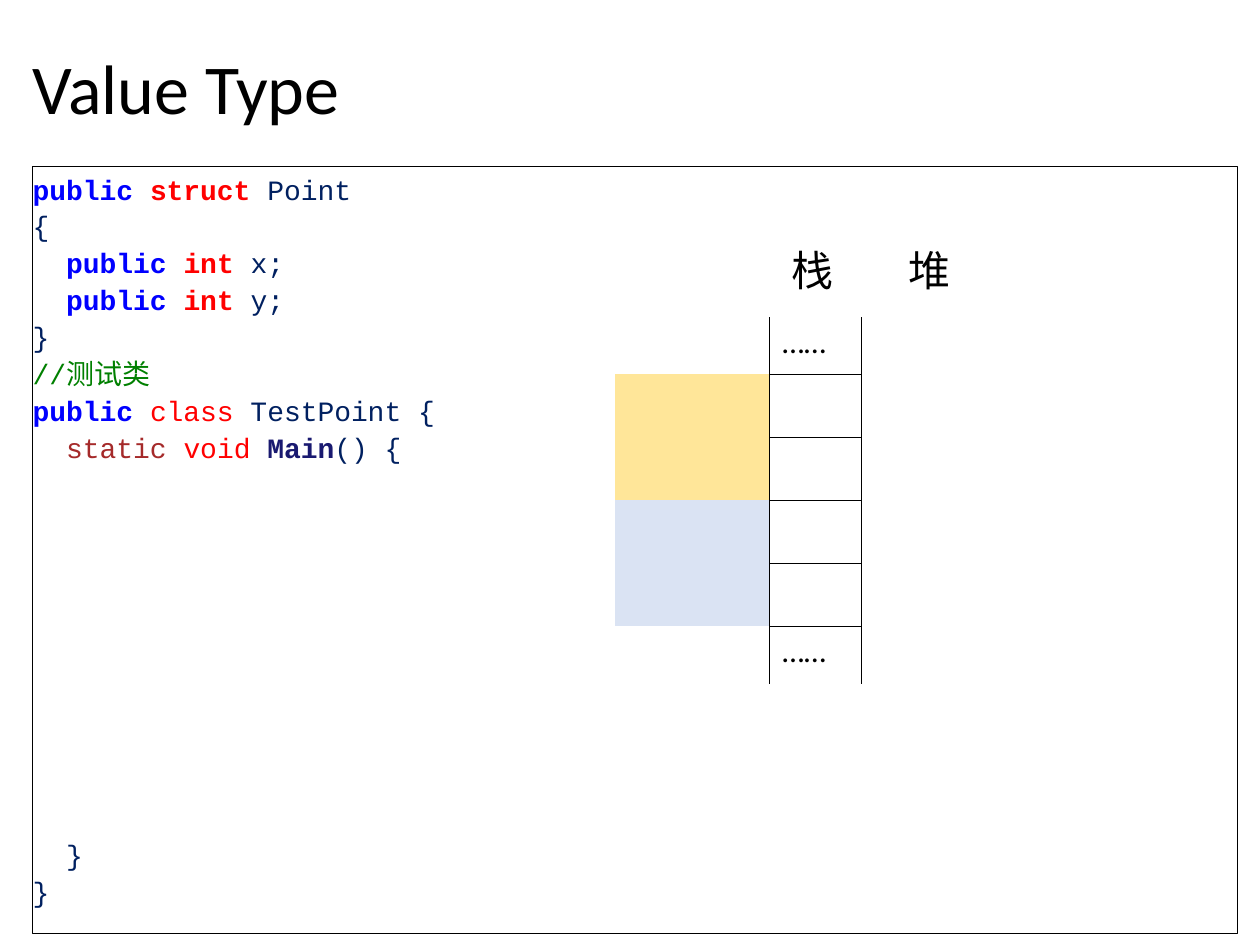
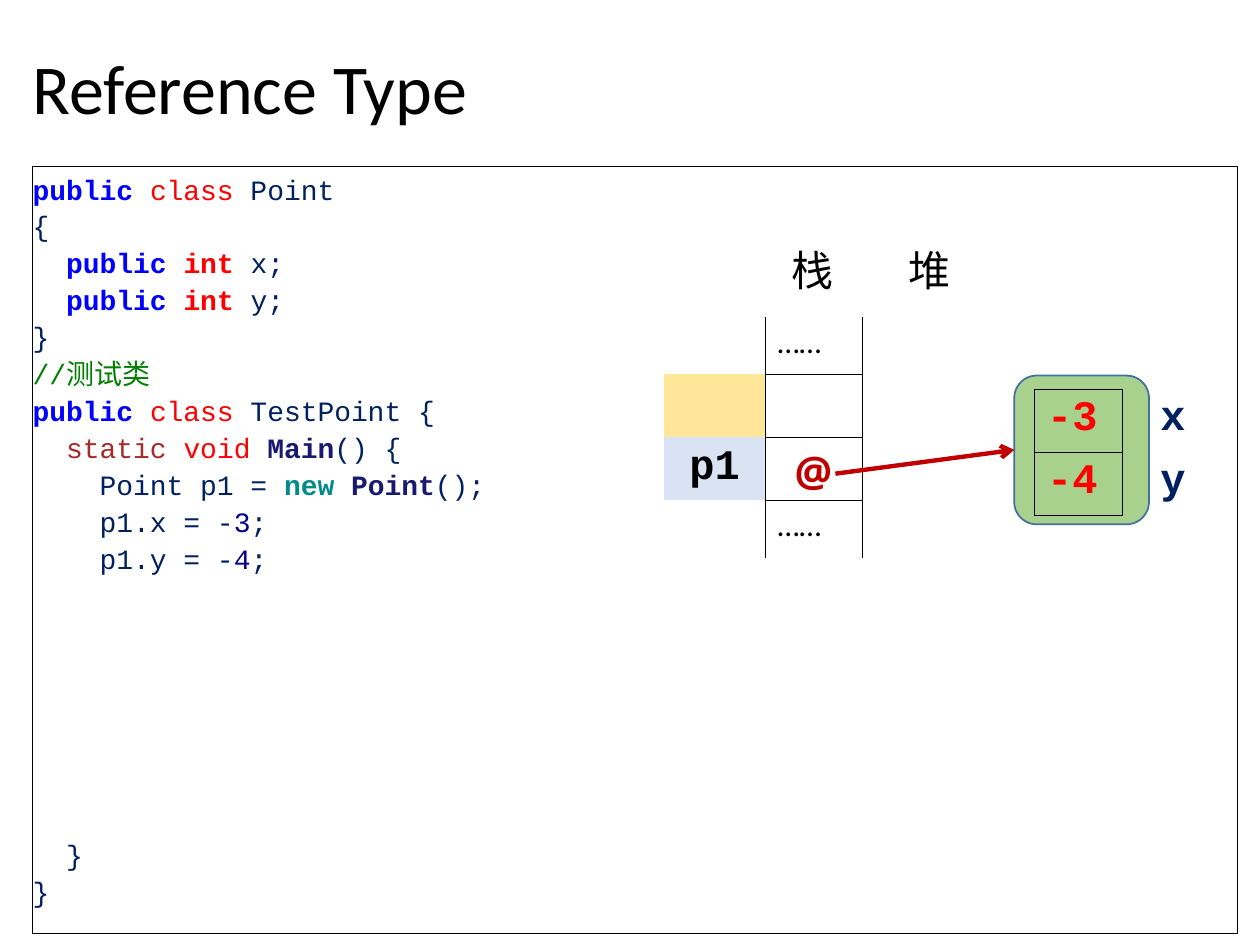
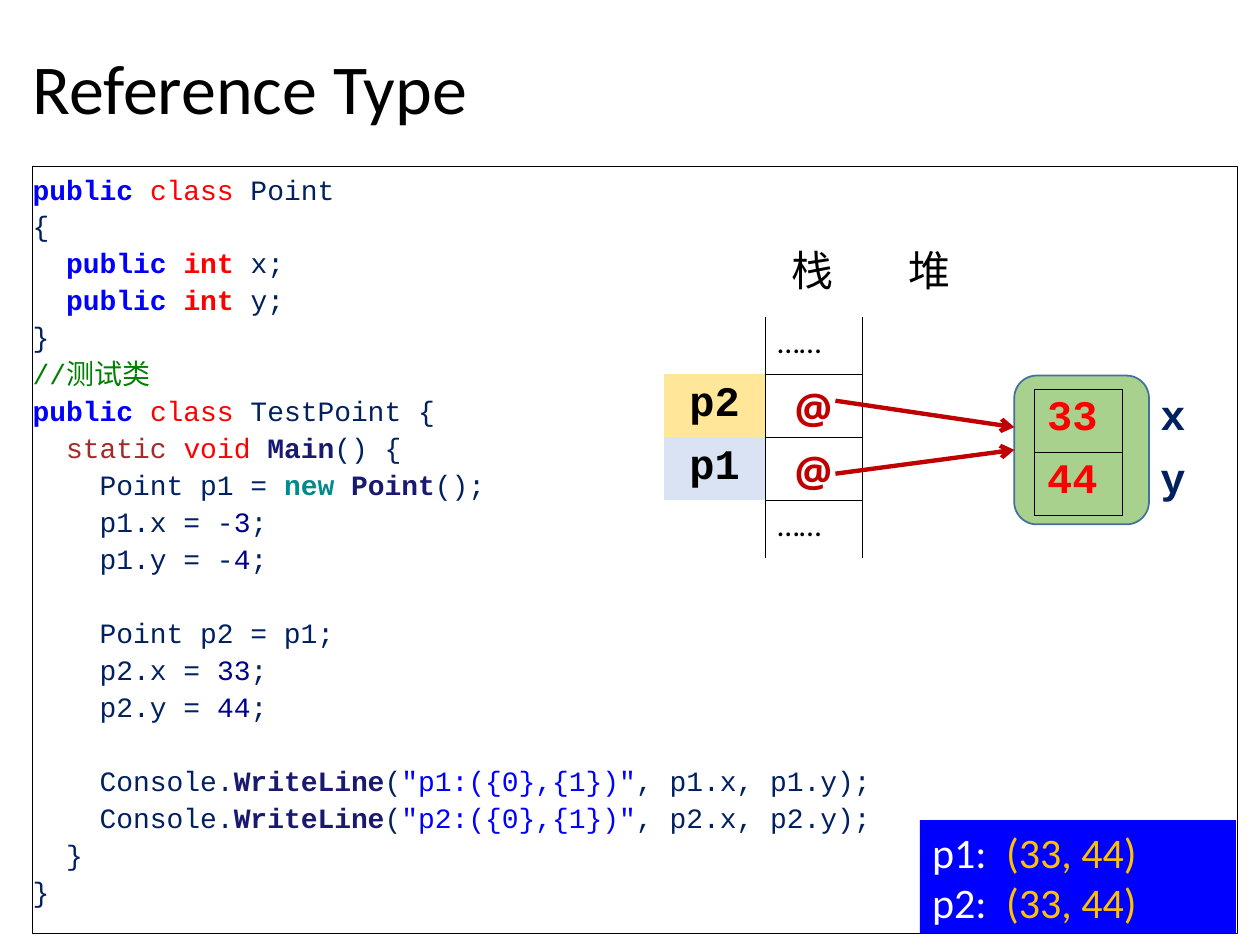
"""Build three slides on value types and reference types in memory."""
from dataclasses import dataclass
from typing import NamedTuple

from lxml.etree import SubElement
from pptx import Presentation
from pptx.dml.color import RGBColor
from pptx.enum.shapes import MSO_CONNECTOR, MSO_SHAPE
from pptx.enum.text import MSO_ANCHOR, MSO_AUTO_SIZE, PP_ALIGN
from pptx.oxml.ns import qn
from pptx.util import Pt

COLORS = {
    "black": "000000", "white": "FFFFFF", "code": "002060", "keyword": "0000FF",
    "type": "FF0000", "comment": "008000", "modifier": "A52A2A", "method": "191970",
    "new": "008B8B", "number": "00008B", "yellow": "FFE699", "light blue": "DAE3F3",
    "heap": "A9D18E", "heap line": "41719C", "pointer": "C00000", "gold": "FFC000",
}
BODY_FONT, CODE_FONT, CHINESE_FONT, POINTER_FONT = (
    "Calibri", "Courier New", "Noto Sans CJK SC", "Open Sans")
CODE_PITCH = 21.12
STACK_TOP, STACK_RIGHT, SLOT_HEIGHT = 181.4, 492.5, 36
POINTER_LEFT = 477.4


class Run(NamedTuple):
    """A piece of text in one style."""
    text: str
    color: str = "code"
    bold: bool = False
    size: float = 16
    font: str = CODE_FONT


class CodeLine(NamedTuple):
    """A line of code and the number of empty lines above it."""
    runs: tuple[Run, ...]
    gap: int = 0


class Box(NamedTuple):
    """Left, top, width and height in points."""
    left: float
    top: float
    width: float
    height: float

    def lengths(self) -> list:
        """Return the four lengths for python-pptx."""
        return [Pt(value) for value in self]


@dataclass
class Slot:
    """A variable on the stack: its label, value and number of cells."""
    fill: str
    label: str = ""
    value: str = ""
    span: int = 1


@dataclass
class Stack:
    """The column widths and variables of a stack diagram."""
    widths: list[float]
    slots: list[Slot]


@dataclass
class Page:
    """Everything that one slide shows."""
    title: str
    code: list[CodeLine]
    stack: Stack
    heap: tuple[str, ...] = ()
    pointers: tuple[tuple[float, float], ...] = ()
    output: tuple[str, ...] = ()


TITLE_BOX = Box(11.5, 9.4, 701.3, 86.4)
CODE_BOX = Box(18.7, 95, 688.3, 438.5)
HEADING_BOX = Box(445, 136, 218, 36)
HEAP_BOX = Box(579.6, 214.6, 77, 85)
HEAP_TABLE_BOX = Box(591.1, 222.5, 94.3, 72)
OUTPUT_BOX = Box(525.6, 468.7, 180.7, 64.8)
HEAP_MIDDLE = HEAP_BOX.top + HEAP_BOX.height / 2


def line(*parts: str | Run, gap: int = 0) -> CodeLine:
    """Make a code line, with plain strings in the plain code colour."""
    return CodeLine(tuple(Run(part) if isinstance(part, str) else part for part in parts), gap)


PUBLIC = Run("public ", "keyword", True)
CLASS = Run("class", "type")


def point_type(kind: Run) -> list[CodeLine]:
    """Return the declaration of Point and the start of the test class."""
    fields = [line("  ", PUBLIC, Run("int", "type", True), f" {name};") for name in "xy"]
    return [
        line(PUBLIC, kind, " Point"), line("{"), *fields, line("}"),
        line(Run("//测试类", "comment")),
        line(PUBLIC, CLASS, " TestPoint {"),
        line("  ", Run("static ", "modifier"), Run("void ", "type"),
             Run("Main", "method", True), "() {"),
    ]


def assign(name: str, sign: str, numbers: tuple[str, str]) -> list[CodeLine]:
    """Return the two lines that set the fields of a point."""
    return [line(f"    {name}.{axis} = {sign}", Run(number, "number"), ";")
            for axis, number in zip("xy", numbers)]


def write_line(name: str, gap: int = 0) -> CodeLine:
    """Return the line that prints a point."""
    return line("    Console.", Run("WriteLine", "method", True), "(",
                Run(f'"{name}:({{0}},{{1}})"', "keyword"), f", {name}.x, {name}.y);", gap=gap)


def closing(gap: int = 0) -> list[CodeLine]:
    """Return the two closing braces."""
    return [line("  }", gap=gap), line("}")]


def color(name: str) -> RGBColor:
    """Look up a colour."""
    return RGBColor.from_string(COLORS[name])


def add_run(paragraph, run: Run):
    """Append a styled run."""
    added = paragraph.add_run()
    added.text = run.text
    font = added.font
    font.name, font.size, font.bold = run.font, Pt(run.size), run.bold
    font.color.rgb = color(run.color)
    return added


def add_tab(paragraph, position: float) -> None:
    """Give a paragraph one left tab stop."""
    tabs = SubElement(paragraph._p.get_or_add_pPr(), qn("a:tabLst"))
    SubElement(tabs, qn("a:tab"), pos=str(Pt(position)), algn="l")


def add_box(slide, box: Box, kind=MSO_SHAPE.RECTANGLE, fill: str = "",
            outline: str = "", width: float = 1):
    """Add a flat preset shape with top left text."""
    shape = slide.shapes.add_shape(kind, *box.lengths())
    shape.shadow.inherit = False
    if fill:
        shape.fill.solid()
        shape.fill.fore_color.rgb = color(fill)
    else:
        shape.fill.background()
    if outline:
        shape.line.color.rgb = color(outline)
        shape.line.width = Pt(width)
    else:
        shape.line.fill.background()
    shape.text_frame.word_wrap = True
    shape.text_frame.vertical_anchor = MSO_ANCHOR.TOP
    return shape


def next_paragraph(text_frame, index: int):
    """Return the first paragraph or a new one, aligned left."""
    paragraph = text_frame.add_paragraph() if index else text_frame.paragraphs[0]
    paragraph.alignment = PP_ALIGN.LEFT
    return paragraph


def add_title(slide, text: str) -> None:
    """Place and fill the title placeholder."""
    title = slide.shapes.title
    title.left, title.top, title.width, title.height = TITLE_BOX.lengths()
    frame = title.text_frame
    frame.auto_size = MSO_AUTO_SIZE.NONE
    frame.vertical_anchor = MSO_ANCHOR.MIDDLE
    paragraph = next_paragraph(frame, 0)
    paragraph.line_spacing = 0.9
    add_run(paragraph, Run(text, "black", size=40, font=BODY_FONT))


def add_code(slide, lines: list[CodeLine]) -> None:
    """Add the framed listing."""
    frame = add_box(slide, CODE_BOX, outline="black", width=0.75).text_frame
    frame.margin_left = frame.margin_right = frame.margin_bottom = 0
    frame.margin_top = Pt(1.4)
    for index, code_line in enumerate(lines):
        paragraph = next_paragraph(frame, index)
        paragraph.line_spacing = Pt(CODE_PITCH)
        if code_line.gap:
            paragraph.space_before = Pt(code_line.gap * CODE_PITCH)
        for run in code_line.runs:
            add_run(paragraph, run)


def add_heading(slide) -> None:
    """Add the names of the stack and the heap."""
    frame = slide.shapes.add_textbox(*HEADING_BOX.lengths()).text_frame
    frame.word_wrap = True
    paragraph = next_paragraph(frame, 0)
    add_tab(paragraph, 67)
    run = add_run(paragraph, Run("栈\t堆", "black", size=24, font=CHINESE_FONT))
    SubElement(run.font._element, qn("a:ea"), typeface=CHINESE_FONT)


def format_cell(cell, borders: str = "", fill: str = "") -> None:
    """Draw the given sides (from LRTB) and fill a cell."""
    properties = cell._tc.get_or_add_tcPr()
    for side in "LRTB":
        border = SubElement(properties, qn(f"a:ln{side}"), w=str(Pt(0.45)))
        if side in borders:
            solid = SubElement(border, qn("a:solidFill"))
            SubElement(solid, qn("a:srgbClr"), val=COLORS["black"])
        else:
            SubElement(border, qn("a:noFill"))
    if fill:
        cell.fill.solid()
        cell.fill.fore_color.rgb = color(fill)
    else:
        cell.fill.background()


def write_cell(cell, run: Run, centered: bool = False) -> None:
    """Write one run in a cell."""
    paragraph = cell.text_frame.paragraphs[0]
    paragraph.alignment = PP_ALIGN.CENTER if centered else PP_ALIGN.LEFT
    add_run(paragraph, run)


def add_table(slide, left: float, top: float, widths: list[float], heights: list[float]):
    """Add an unbanded table with the given columns and rows."""
    box = Box(left, top, sum(widths), sum(heights))
    table = slide.shapes.add_table(len(heights), len(widths), *box.lengths()).table
    table.first_row = table.horz_banding = False
    for column, width in zip(table.columns, widths):
        column.width = Pt(width)
    for row, height in zip(table.rows, heights):
        row.height = Pt(height)
    return table


def add_stack(slide, stack: Stack) -> None:
    """Add the stack, with labels at the left of its cells."""
    slots = [slot for slot in stack.slots for _ in range(slot.span)]
    heights = [32.4, *[SLOT_HEIGHT] * len(slots), 33]
    table = add_table(slide, STACK_RIGHT - sum(stack.widths), STACK_TOP, stack.widths, heights)
    last_row, last_column = len(heights) - 1, len(stack.widths) - 1
    for row in range(last_row + 1):
        fill = slots[row - 1].fill if 0 < row < last_row else ""
        for column in range(last_column):
            beside = column == last_column - 1 or not fill
            format_cell(table.cell(row, column), "R" if beside else "", fill)
        sides = "LR" + ("T" if row else "") + ("B" if row < last_row else "")
        format_cell(table.cell(row, last_column), sides)
    for row in (0, last_row):
        write_cell(table.cell(row, last_column), Run("……", "black", size=18, font=BODY_FONT))
        if last_column > 1:
            table.cell(row, 0).merge(table.cell(row, last_column - 1))
    row = 1
    for slot in stack.slots:
        label, value = table.cell(row, 0), table.cell(row, last_column)
        if slot.span > 1:
            label.merge(table.cell(row + slot.span - 1, 0))
        if slot.label:
            label.vertical_anchor = MSO_ANCHOR.MIDDLE
            write_cell(label, Run(slot.label, "black", True, 24), True)
        if slot.value:
            value.margin_top, value.margin_bottom = Pt(3), 0
            write_cell(value, Run(slot.value, "pointer", True, 24, POINTER_FONT), True)
        row += slot.span


def add_heap(slide, values: tuple[str, ...]):
    """Add the heap object with its fields and return its outline."""
    outline = add_box(slide, HEAP_BOX, MSO_SHAPE.ROUNDED_RECTANGLE, "heap", "heap line")
    table = add_table(slide, HEAP_TABLE_BOX.left, HEAP_TABLE_BOX.top,
                      [50.4, 43.9], [SLOT_HEIGHT] * len(values))
    for row, (value, name) in enumerate(zip(values, "xy")):
        value_cell, name_cell = table.cell(row, 0), table.cell(row, 1)
        format_cell(value_cell, "LRTB")
        write_cell(value_cell, Run(value, "type", True, 24))
        format_cell(name_cell, "L")
        name_cell.margin_left = Pt(21.6)
        write_cell(name_cell, Run(name, "code", True, 24))
    return outline


def add_pointer(slide, start: float, end: float, target) -> None:
    """Add an arrow from a stack cell to the heap object."""
    connector = slide.shapes.add_connector(
        MSO_CONNECTOR.STRAIGHT, Pt(POINTER_LEFT), Pt(start), Pt(HEAP_BOX.left), Pt(end))
    if end == HEAP_MIDDLE:
        connector.end_connect(target, 1)
    connector.line.color.rgb = color("pointer")
    connector.line.width = Pt(2.5)
    SubElement(connector.line._get_or_add_ln(), qn("a:tailEnd"), type="arrow")
    SubElement(connector._element.spPr, qn("a:effectLst"))


def add_output(slide, names: tuple[str, ...]) -> None:
    """Add the console output."""
    frame = add_box(slide, OUTPUT_BOX, fill="keyword").text_frame
    for index, name in enumerate(names):
        paragraph = next_paragraph(frame, index)
        add_tab(paragraph, 42.3)
        add_run(paragraph, Run(f"{name}:\t", "white", size=24, font=BODY_FONT))
        add_run(paragraph, Run("(33, 44)", "gold", size=24, font=BODY_FONT))


def add_page(presentation, page: Page) -> None:
    """Add one slide."""
    slide = presentation.slides.add_slide(presentation.slide_layouts[5])
    add_title(slide, page.title)
    add_code(slide, page.code)
    add_heading(slide)
    add_stack(slide, page.stack)
    if page.heap:
        target = add_heap(slide, page.heap)
        for start, end in page.pointers:
            add_pointer(slide, start, end, target)
    if page.output:
        add_output(slide, page.output)


def main() -> None:
    """Build and save the presentation."""
    presentation = Presentation()
    presentation.slide_width, presentation.slide_height = Pt(720), Pt(540)
    first_point = [
        *point_type(CLASS),
        line("    Point p1 = ", Run("new ", "new", True), Run("Point", "method", True), "();"),
        *assign("p1", "-", ("3", "4")),
    ]
    second_point = [
        line("    Point p2 = p1;", gap=1), *assign("p2", "", ("33", "44")),
        write_line("p1", gap=1), write_line("p2"),
    ]
    reference_widths = [57.6, 55.4]
    p1_slot = Slot("light blue", "p1", "@")
    p1_pointer = (270.7, HEAP_MIDDLE)
    pages = [
        Page("Value Type", point_type(Run("struct", "type", True)) + closing(10),
             Stack([47.5, 41, 52.6], [Slot("yellow", span=2), Slot("light blue", span=2)])),
        Page("Reference Type", first_point + closing(7),
             Stack(reference_widths, [Slot("yellow"), p1_slot]),
             ("-3", "-4"), (p1_pointer,)),
        Page("Reference Type", first_point + second_point + closing(),
             Stack(reference_widths, [Slot("yellow", "p2", "@"), p1_slot]),
             ("33", "44"), (p1_pointer, (229, 244.1)), ("p1", "p2")),
    ]
    for page in pages:
        add_page(presentation, page)
    presentation.save("out.pptx")


if __name__ == "__main__":
    main()
